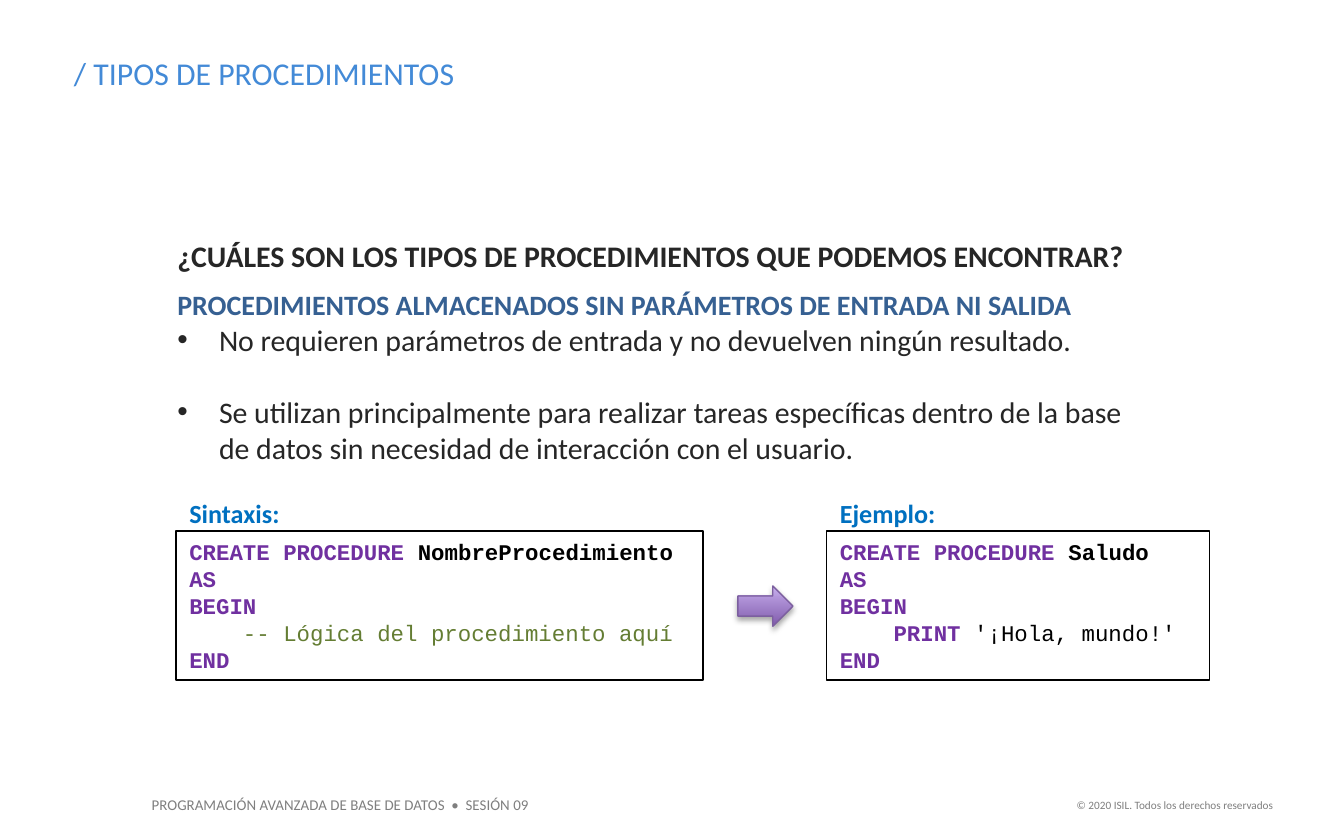
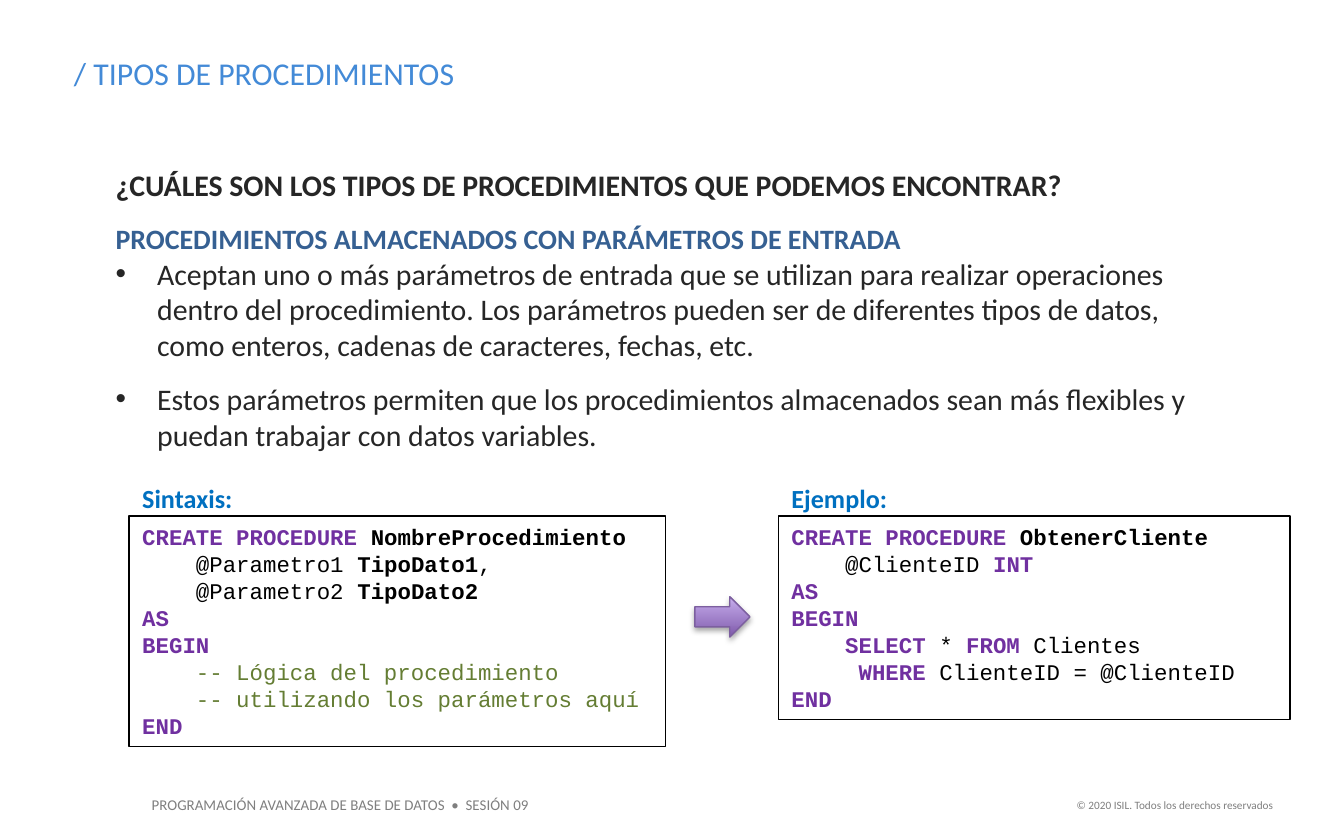
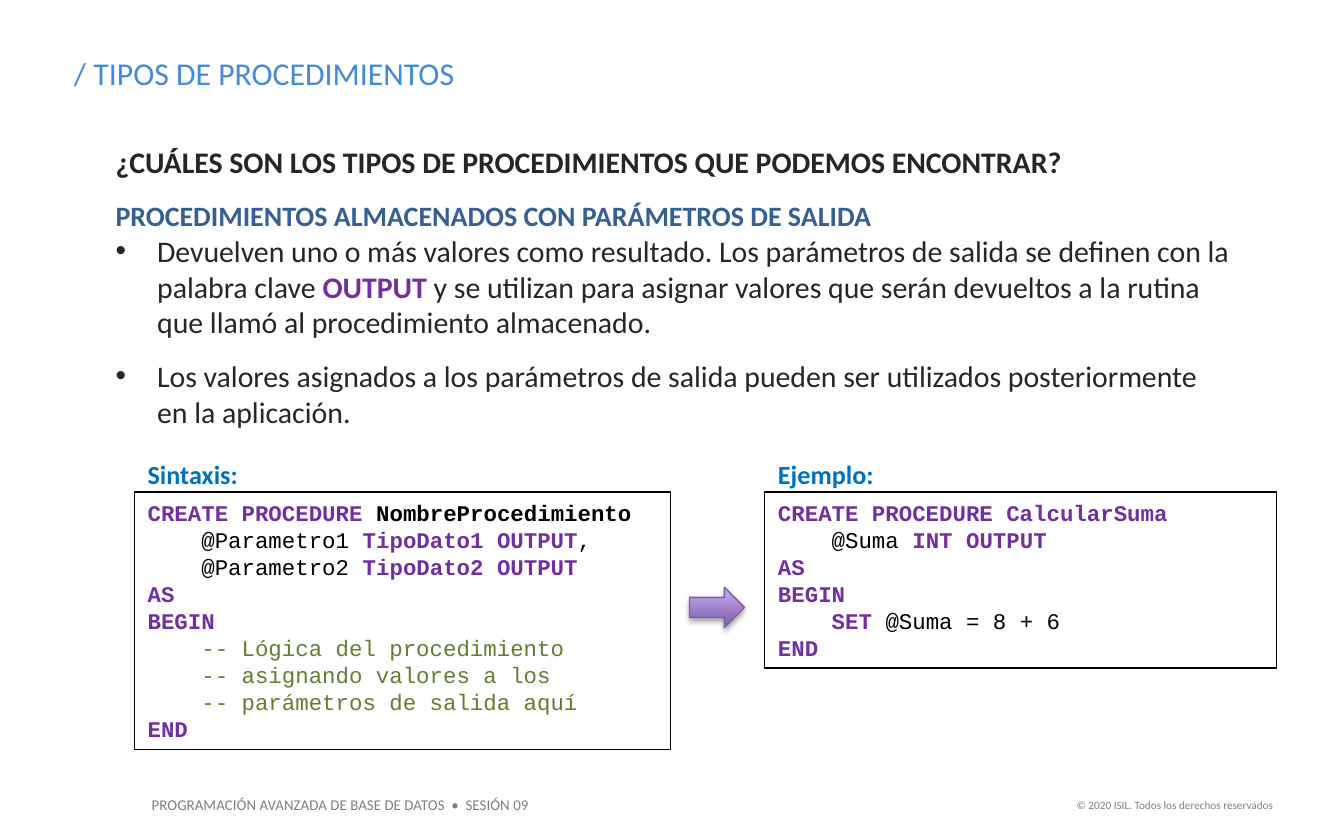
"""Builds three slides on the kinds of stored procedures."""
from lxml import etree
from pptx import Presentation, util as u
from pptx.dml.color import RGBColor
from pptx.enum import shapes, text
from pptx.oxml import parse_xml
from pptx.oxml.ns import nsdecls, qn

TITLE_BLUE = RGBColor(0x43, 0x8A, 0xD7)
KIND_BLUE = RGBColor(0x36, 0x60, 0x92)
LABEL_BLUE = RGBColor(0x00, 0x70, 0xC0)
INK = RGBColor(0x26, 0x26, 0x26)
GRAY = RGBColor(0x7F, 0x7F, 0x7F)
BLACK = RGBColor(0x00, 0x00, 0x00)
PURPLE = RGBColor(0x70, 0x30, 0xA0)
GREEN = RGBColor(0x64, 0x7D, 0x33)
ARROW_DARK = RGBColor(0x7F, 0x5A, 0xAB)
ARROW_LIGHT = RGBColor(0xC7, 0xAE, 0xED)
ARROW_EDGE = RGBColor(0x7C, 0x5F, 0x9F)

BODY = (INK, False)
HEADING = (INK, True)
KEY = (PURPLE, True)
NAME = (BLACK, True)
PLAIN = (BLACK, False)
NOTE = (GREEN, False)

prs = Presentation()
prs.slide_width = u.Inches(10)
prs.slide_height = u.Inches(6.25)
CELL = prs.slide_width / 100
HANG = u.Inches(0.31)
LINE = 2.02

AS, BEGIN, END = [("AS", KEY)], [("BEGIN", KEY)], [("END", KEY)]
CREATE = ("CREATE PROCEDURE ", KEY)
GENERIC = [CREATE, ("NombreProcedimiento", NAME)]

topics = [
    dict(
        kind="PROCEDIMIENTOS ALMACENADOS SIN PARÁMETROS DE ENTRADA NI SALIDA",
        left=13.2, question_top=17.7, body_top=21.4, body_size=(71.4, 13.5), gap=19.5,
        points=[
            [("No requieren parámetros de entrada y no devuelven ningún resultado.", BODY)],
            [("Se utilizan principalmente para realizar tareas específicas dentro de la base "
              "de datos sin necesidad de interacción con el usuario.", BODY)],
        ],
        code_top=39.5, arrow=(54.9, 43.6),
        blocks=[
            ("Sintaxis:", 13.1, 39.2, [
                GENERIC, AS, BEGIN,
                [("    -- Lógica del procedimiento aquí", NOTE)],
                END]),
            ("Ejemplo:", 61.5, 28.5, [
                [CREATE, ("Saludo", NAME)], AS, BEGIN,
                [("    PRINT", KEY), (" '¡Hola, mundo!'", PLAIN)],
                END]),
        ]),
    dict(
        kind="PROCEDIMIENTOS ALMACENADOS CON PARÁMETROS DE ENTRADA",
        left=8.6, question_top=12.4, body_top=16.5, body_size=(81.3, 17.3), gap=9.5,
        points=[
            [("Aceptan uno o más parámetros de entrada que se utilizan para realizar operaciones "
              "dentro del procedimiento. Los parámetros pueden ser de diferentes tipos de datos, "
              "como enteros, cadenas de caracteres, fechas, etc.", BODY)],
            [("Estos parámetros permiten que los procedimientos almacenados sean más flexibles y "
              "puedan trabajar con datos variables.", BODY)],
        ],
        code_top=38.4, arrow=(51.7, 44.4),
        blocks=[
            ("Sintaxis:", 9.6, 39.9, [
                GENERIC,
                [("    @Parametro1 ", PLAIN), ("TipoDato1", NAME), (",", PLAIN)],
                [("    @Parametro2 ", PLAIN), ("TipoDato2", NAME)],
                AS, BEGIN,
                [("    -- Lógica del procedimiento", NOTE)],
                [("    -- utilizando los parámetros aquí", NOTE)],
                END]),
            ("Ejemplo:", 57.9, 38.1, [
                [CREATE, ("ObtenerCliente", NAME)],
                [("    @ClienteID ", PLAIN), ("INT", KEY)],
                AS, BEGIN,
                [("    SELECT", KEY), (" * ", PLAIN), ("FROM ", KEY), ("Clientes", PLAIN)],
                [("     WHERE ", KEY), ("ClienteID = @ClienteID", PLAIN)],
                END]),
        ]),
    dict(
        kind="PROCEDIMIENTOS ALMACENADOS CON PARÁMETROS DE SALIDA",
        left=8.6, question_top=10.7, body_top=14.8, body_size=(83, 17.5), gap=9.5,
        points=[
            [("Devuelven uno o más valores como resultado. Los parámetros de salida se definen "
              "con la palabra clave ", BODY), ("OUTPUT", KEY),
             (" y se utilizan para asignar valores que serán devueltos a la rutina que llamó al "
              "procedimiento almacenado.", BODY)],
            [("Los valores asignados a los parámetros de salida pueden ser utilizados "
              "posteriormente en la aplicación.", BODY)],
        ],
        code_top=36.6, arrow=(51.3, 43.7),
        blocks=[
            ("Sintaxis:", 10, 39.9, [
                GENERIC,
                [("    @Parametro1 ", PLAIN), ("TipoDato1 OUTPUT", KEY), (",", PLAIN)],
                [("    @Parametro2 ", PLAIN), ("TipoDato2 OUTPUT", KEY)],
                AS, BEGIN,
                [("    -- Lógica del procedimiento", NOTE)],
                [("    -- asignando valores a los", NOTE)],
                [("    -- parámetros de salida aquí", NOTE)],
                END]),
            ("Ejemplo:", 56.9, 38.1, [
                [CREATE, ("CalcularSuma", KEY)],
                [("    @Suma ", PLAIN), ("INT OUTPUT", KEY)],
                AS, BEGIN,
                [("    SET ", KEY), ("@Suma = 8 + 6", PLAIN)],
                END]),
        ]),
]


def place(shape, left, top, width, height, inset=1):
    """Puts a shape on the grid and returns its prepared text frame."""
    shape.left, shape.top, shape.width, shape.height = (
        round(cells * CELL) for cells in (left, top, width, height))
    frame = shape.text_frame
    frame.word_wrap = True
    frame.auto_size = text.MSO_AUTO_SIZE.NONE
    frame.vertical_anchor = text.MSO_ANCHOR.TOP
    frame.margin_left = frame.margin_right = round(inset * CELL)
    frame.margin_top = frame.margin_bottom = round(inset * CELL / 2)
    return frame


def write(paragraph, runs, size, font="Calibri", align=text.PP_ALIGN.LEFT):
    """Adds styled runs to a paragraph."""
    paragraph.alignment = align
    for words, (color, bold) in runs:
        run = paragraph.add_run()
        run.text = words
        run.font.name = font
        run.font.size = u.Pt(size)
        run.font.bold = bold
        run.font.color.rgb = color


for topic in topics:
    slide = prs.slides.add_slide(prs.slide_layouts[5])
    add_box = slide.shapes.add_textbox

    title = place(slide.shapes.title, 4.5, 3.5, 78.8, 3.9)
    write(title.paragraphs[0], [("/ TIPOS DE PROCEDIMIENTOS", (TITLE_BLUE, False))], 17)

    course = place(add_box(0, 0, 0, 0), 10.3, 58.7, 30.5, 2.4)
    write(course.paragraphs[0],
          [("PROGRAMACIÓN AVANZADA DE BASE DE DATOS  •  SESIÓN 09", (GRAY, False))], 8)
    rights = place(add_box(0, 0, 0, 0), 78.8, 58.9, 16.9, 2)
    write(rights.paragraphs[0],
          [("© 2020 ISIL. Todos los derechos reservados", (GRAY, False))], 6,
          align=text.PP_ALIGN.RIGHT)

    question = place(add_box(0, 0, 0, 0), topic["left"], topic["question_top"], 73.5, 2.7, 0)
    write(question.paragraphs[0],
          [("¿CUÁLES SON LOS TIPOS DE PROCEDIMIENTOS QUE PODEMOS ENCONTRAR?", HEADING)], 16)

    body = place(add_box(0, 0, 0, 0), topic["left"], topic["body_top"], *topic["body_size"], 0)
    write(body.paragraphs[0], [(topic["kind"], (KIND_BLUE, True))], 15)
    for number, point in enumerate(topic["points"]):
        paragraph = body.add_paragraph()
        props = paragraph._p.get_or_add_pPr()
        props.set("marL", str(HANG))
        props.set("indent", str(-HANG))
        bullet_color = etree.SubElement(props, qn("a:buClr"))
        etree.SubElement(bullet_color, qn("a:srgbClr"), val=str(INK))
        etree.SubElement(props, qn("a:buFont"), typeface="Arial")
        etree.SubElement(props, qn("a:buChar"), char="•")
        paragraph.space_before = u.Pt(topic["gap"] * number)
        write(paragraph, point, 16)

    for caption, left, width, lines in topic["blocks"]:
        panel = slide.shapes.add_shape(shapes.MSO_SHAPE.RECTANGLE, 0, 0, 0, 0)
        panel.shadow.inherit = False
        panel.fill.background()
        panel.line.color.rgb = BLACK
        panel.line.width = u.Pt(0.75)
        code = place(panel, left, topic["code_top"], width, 1 + LINE * len(lines))
        for number, line in enumerate(lines):
            paragraph = code.add_paragraph() if number else code.paragraphs[0]
            paragraph.line_spacing = u.Pt(14.5)
            write(paragraph, line, 12, "Courier New")
        label = place(add_box(0, 0, 0, 0), left, topic["code_top"] - 3, 9.2, 3.4)
        write(label.paragraphs[0], [(caption, (LABEL_BLUE, True))], 14)

    arrow = slide.shapes.add_shape(shapes.MSO_SHAPE.RIGHT_ARROW, 0, 0, 0, 0)
    place(arrow, *topic["arrow"], 4.1, 3)
    arrow.fill.gradient()
    arrow.fill.gradient_angle = 90
    for stop, color in zip(arrow.fill.gradient_stops, (ARROW_DARK, ARROW_LIGHT)):
        stop.color.rgb = color
    arrow.line.color.rgb = ARROW_EDGE
    arrow.line.width = u.Pt(0.75)
    arrow._element.spPr.append(parse_xml(
        f'<a:effectLst {nsdecls("a")}><a:outerShdw blurRad="{u.Pt(3.1)}" dist="{u.Pt(1.8)}" '
        'dir="5400000" rotWithShape="0"><a:srgbClr val="000000"><a:alpha val="35000"/>'
        '</a:srgbClr></a:outerShdw></a:effectLst>'))

prs.save("out.pptx")
